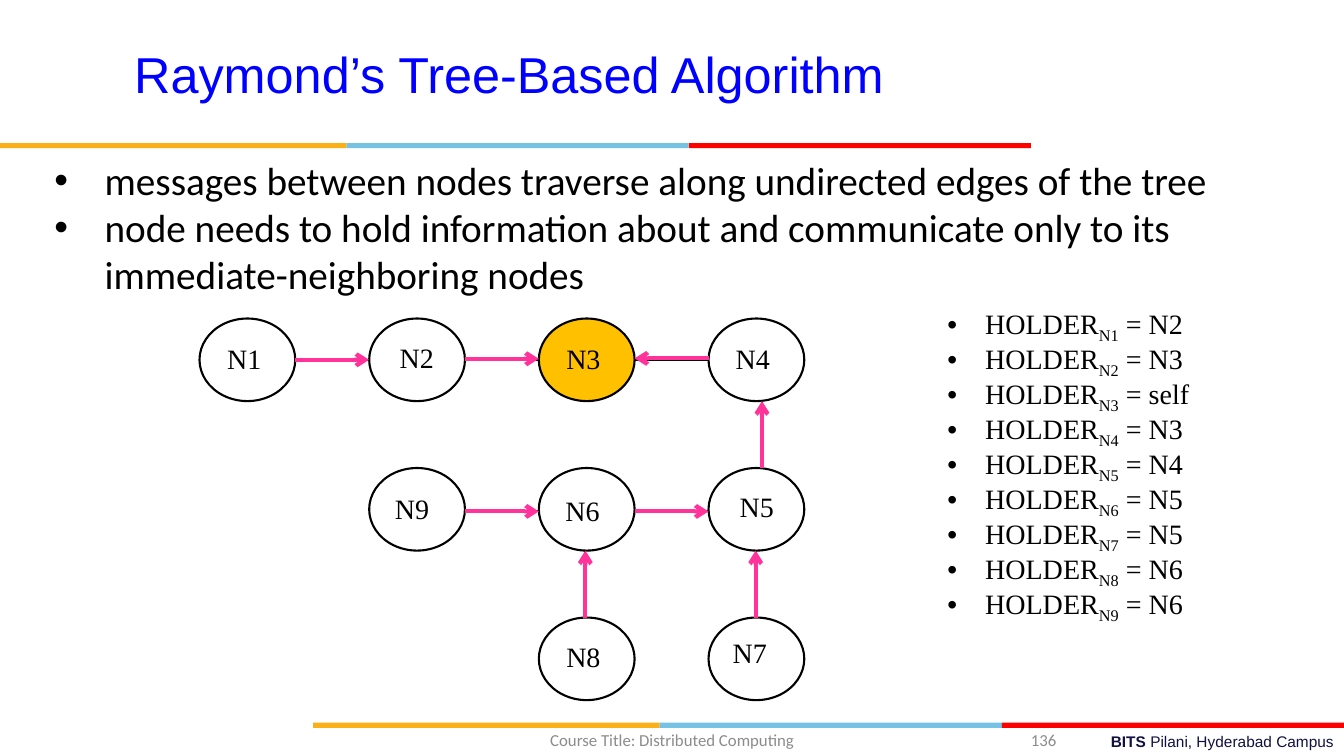
from lxml import etree
from pptx import Presentation
from pptx.dml.color import RGBColor
from pptx.enum.shapes import MSO_CONNECTOR, MSO_SHAPE
from pptx.enum.text import MSO_ANCHOR, PP_ALIGN
from pptx.oxml.ns import qn
from pptx.util import Pt

# Content
TITLE = "Raymond’s Tree-Based Algorithm"
POINTS = [
    "messages between nodes traverse along undirected edges of the tree",
    "node needs to hold information about and communicate only to its "
    "immediate-neighboring nodes",
]
COURSE = "Course Title: Distributed Computing"
PAGE = "136"
CAMPUS = [("BITS ", True), ("Pilani, Hyderabad Campus", False)]
HOLDERS = [("N1", "N2"), ("N2", "N3"), ("N3", "self"), ("N4", "N3"), ("N5", "N4"),
           ("N6", "N5"), ("N7", "N5"), ("N8", "N6"), ("N9", "N6")]
ROOT = "N3"

# node: column, row, label left, label top
NODES = {
    "N1": (0, 0, 155.2, 240.5), "N2": (1, 0, 278.3, 239.8),
    "N3": (2, 0, 397.4, 240.5), "N4": (3, 0, 518.4, 240.5),
    "N9": (1, 1, 275, 347.8), "N6": (2, 1, 396.7, 349.2),
    "N5": (3, 1, 521.3, 346.3), "N8": (2, 2, 397.4, 452.9),
    "N7": (3, 2, 516.2, 450.7),
}
# from, to, sideways shift of the edge, further shift of its arrow
EDGES = [("N1", "N2", 0, 0), ("N2", "N3", 0, -0.7), ("N4", "N3", 0, -1),
         ("N9", "N6", 1.5, 0), ("N6", "N5", 1.5, 0), ("N5", "N4", 4, 0),
         ("N7", "N5", -0.5, 0), ("N8", "N6", -1, 0)]

COLORS = {"orange": "FCB017", "sky": "76C2E5", "red": "FF0000", "title": "0000FF",
          "black": "000000", "white": "FFFFFF", "root": "FFC000",
          "arrow": "FF3399", "footer": "8C8C8C", "campus": "101141"}
STRIPES = [("orange", 247.6), ("sky", 244.4), ("red", 244.4)]

NODE_W, NODE_H = 68.4, 59
GRID_X, GRID_Y, STEP_X, STEP_Y = 142.5, 227.5, 121.2, 106.8
SERIF = "Times New Roman"

prs = Presentation()
prs.slide_width, prs.slide_height = Pt(960), Pt(540)
slide = prs.slides.add_slide(prs.slide_layouts[6])


def rgb(name):
    return RGBColor.from_string(COLORS[name])


def add_text(box, paragraphs, font, size, color, align=PP_ALIGN.LEFT,
             anchor=MSO_ANCHOR.TOP, hang=0, spacing=None):
    """Each paragraph is a list of (text, bold, baseline) runs."""
    frame = slide.shapes.add_textbox(*map(Pt, box)).text_frame
    frame.word_wrap = True
    frame.vertical_anchor = anchor
    for i, runs in enumerate(paragraphs):
        para = frame.add_paragraph() if i else frame.paragraphs[0]
        if hang:
            props = para._p.get_or_add_pPr()
            props.set("marL", str(Pt(hang)))
            props.set("indent", str(-Pt(hang)))
            etree.SubElement(props, qn("a:buFont")).set("typeface", "Arial")
            etree.SubElement(props, qn("a:buChar")).set("char", "•")
        para.alignment = align
        if spacing:
            para.line_spacing = Pt(spacing)
        para.font.name, para.font.size = font, Pt(size)
        para.font.color.rgb = rgb(color)
        for text, bold, baseline in runs:
            run = para.add_run()
            run.text = text
            if bold:
                run.font.bold = True
            if baseline:
                run.font._element.set("baseline", str(baseline))


def plain(text):
    return [(text, False, 0)]


def add_line(start, end, color, width, arrow=False):
    line = slide.shapes.add_connector(MSO_CONNECTOR.STRAIGHT, *map(Pt, start + end))
    line.line.color.rgb = rgb(color)
    line.line.width = Pt(width)
    if arrow:
        etree.SubElement(line.line._get_or_add_ln(), qn("a:tailEnd")).set("type", "arrow")
    etree.SubElement(line._element.spPr, qn("a:effectLst"))


def add_shape(kind, box, fill, outline=None):
    shape = slide.shapes.add_shape(kind, *map(Pt, box))
    shape.shadow.inherit = False
    shape.fill.solid()
    shape.fill.fore_color.rgb = rgb(fill)
    if outline:
        shape.line.color.rgb = rgb(outline)
        shape.line.width = Pt(1.5)
    else:
        shape.line.fill.background()


def corner(node):
    column, row = NODES[node][:2]
    return GRID_X + column * STEP_X, GRID_Y + row * STEP_Y


def edge_ends(source, target, shift):
    """Points where the edge leaves one node and meets the next."""
    (x1, y1), (x2, y2) = [(x + NODE_W / 2, y + NODE_H / 2)
                          for x, y in map(corner, (source, target))]
    if NODES[source][1] == NODES[target][1]:
        reach = NODE_W / 2 if x2 > x1 else -NODE_W / 2
        return (x1 + reach, y1 + shift), (x2 - reach, y2 + shift)
    reach = NODE_H / 2 if y2 > y1 else -NODE_H / 2
    return (x1 + shift, y1 + reach), (x2 + shift, y2 - reach)


# Tricolour stripes under the title and above the footer
for left, top in [(0, 102.2), (223.6, 516.2)]:
    for color, width in STRIPES:
        add_shape(MSO_SHAPE.RECTANGLE, (left, top, width, 3.7), color)
        left += width

# Title and points
add_text((31.7, 7.2, 663.8, 90), [plain(TITLE)], "Arial", 36, "title",
         PP_ALIGN.CENTER, MSO_ANCHOR.MIDDLE)
add_text((31.7, 108, 850.3, 108.7), [plain(point) for point in POINTS],
         "Calibri", 28, "black", hang=36)

# Tree: nodes, labels, edges and the arrows pointing to the holder
for node, (_, _, label_left, label_top) in NODES.items():
    add_shape(MSO_SHAPE.OVAL, (*corner(node), NODE_W, NODE_H),
              "root" if node == ROOT else "white", "black")
    add_text((label_left, label_top, 60, 40), [plain(node)], SERIF, 20, "black")
for source, target, shift, extra in EDGES:
    add_line(*edge_ends(source, target, shift), "black", 1.5)
    add_line(*edge_ends(source, target, shift + extra), "arrow", 3, arrow=True)

# Holder variables
add_text((669.6, 217.4, 217.4, 232.6),
         [[("HOLDER", False, 0), (node, False, -25000), (f" = {holder}", False, 0)]
          for node, holder in HOLDERS],
         SERIF, 20, "black", PP_ALIGN.JUSTIFY, hang=27, spacing=25)

# Footer
add_text((318.2, 514.1, 324, 28.8), [plain(COURSE)], "Calibri", 12, "footer",
         PP_ALIGN.CENTER, MSO_ANCHOR.MIDDLE)
add_text((663.8, 514.1, 97.9, 28.8), [plain(PAGE)], "Calibri", 12, "footer",
         PP_ALIGN.RIGHT, MSO_ANCHOR.MIDDLE)
add_text((344, 519.1, 616, 20.9), [[(text, bold, 0) for text, bold in CAMPUS]],
         "Arial", 11, "campus", PP_ALIGN.RIGHT)

prs.save("out.pptx")
